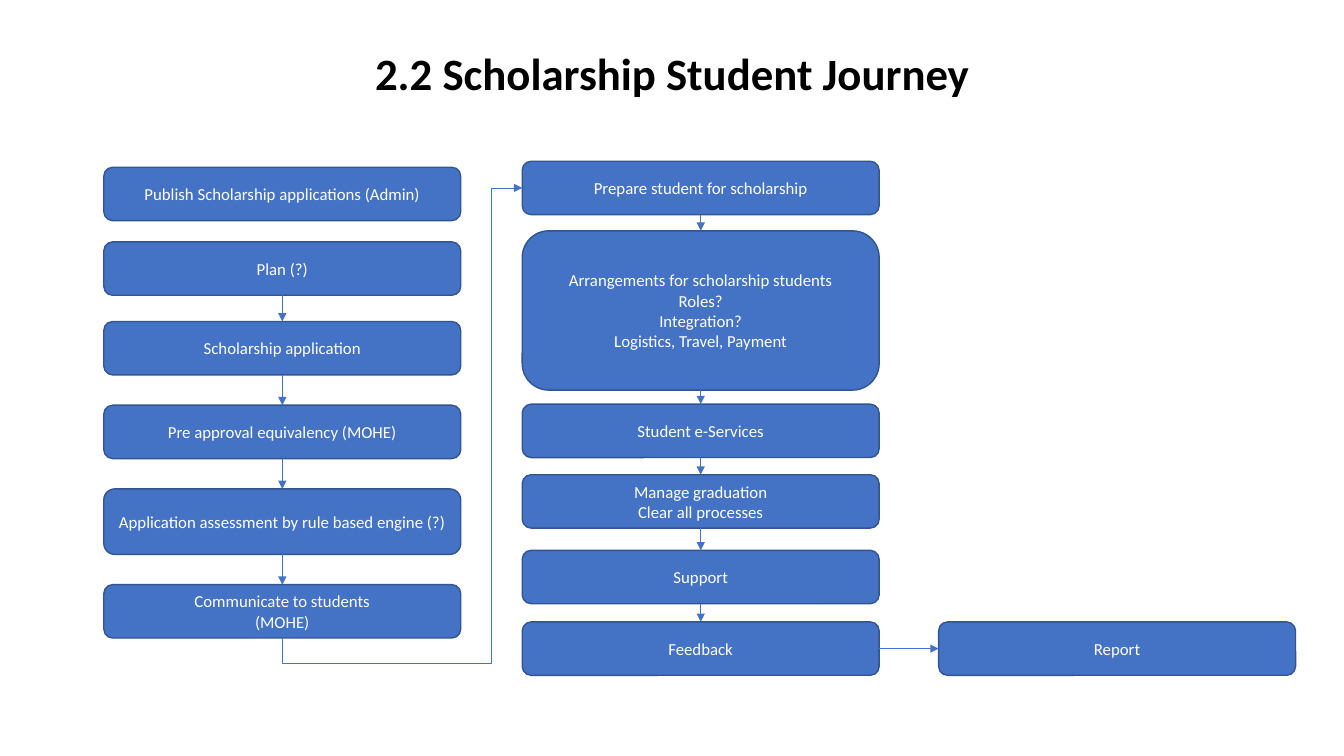
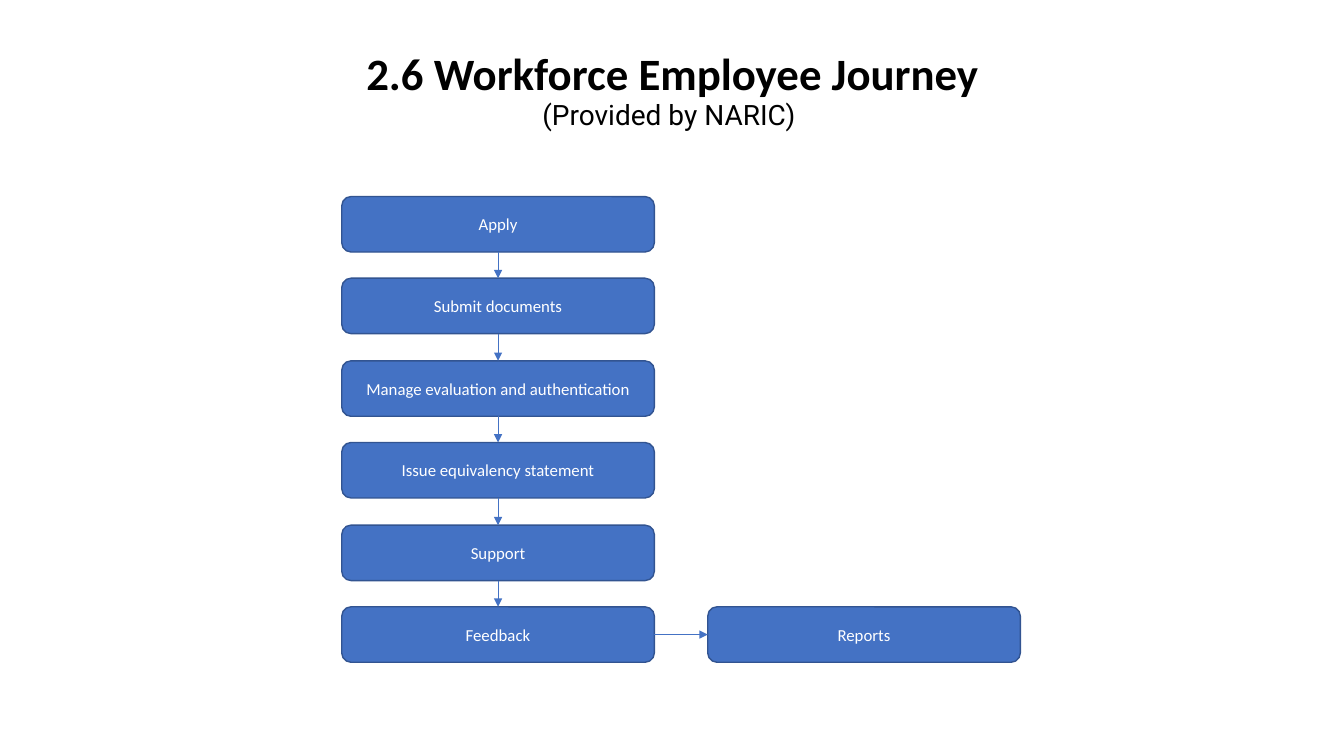
from itertools import pairwise
from lxml.etree import SubElement
from pptx import Presentation
from pptx.dml.color import RGBColor
from pptx.enum.shapes import MSO_CONNECTOR, MSO_SHAPE
from pptx.enum.text import MSO_ANCHOR, MSO_AUTO_SIZE, PP_ALIGN
from pptx.oxml.ns import qn
from pptx.util import Pt

PX = 9144  # 100 px to the inch
HEX = {"box": "4472C4", "edge": "325491", "line": "4472C4",
       "light": "FFFFFF", "dark": "000000"}
TOP, LEFT, FOOT, RIGHT = range(4)  # connection sites of a box


def emu(*nums):
    return [round(n) * PX for n in nums]


def color(name):
    return RGBColor.from_string(HEX[name])


def write(frame, text, size=12, font="Calibri", ink="light", bold=False,
          align=PP_ALIGN.CENTER, anchor=MSO_ANCHOR.MIDDLE, wrap=True,
          lead=None):
    frame.word_wrap = wrap
    frame.vertical_anchor = anchor
    frame.text = text
    for para in frame.paragraphs:
        para.alignment = align
        para.line_spacing = lead
        for run in para.runs:
            run.font.name = font
            run.font.size = Pt(size)
            run.font.bold = bold
            run.font.color.rgb = color(ink)


def start(deck, title):
    """Add a slide with the shared title style."""
    slide = deck.slides.add_slide(deck.slide_layouts[5])
    head = slide.shapes.title
    head.left, head.top, head.width, head.height = emu(92, 0, 1150, 104)
    head.text_frame.auto_size = MSO_AUTO_SIZE.NONE
    write(head.text_frame, title, size=32, ink="dark", bold=True,
          anchor=MSO_ANCHOR.BOTTOM, lead=0.9)
    return slide


def step(slide, text, x, y, w, h):
    box = slide.shapes.add_shape(MSO_SHAPE.ROUNDED_RECTANGLE,
                                 *emu(x, y, w, h))
    box.shadow.inherit = False
    box.fill.solid()
    box.fill.fore_color.rgb = color("box")
    box.line.color.rgb = color("edge")
    box.line.width = Pt(1)
    write(box.text_frame, text)
    return box


def link(slide, a, b, out=FOOT, into=TOP, kind=MSO_CONNECTOR.STRAIGHT):
    """Draw an arrow from site out of box a to site into of box b."""
    line = slide.shapes.add_connector(kind, 0, 0, 0, 0)
    line.begin_connect(a, out)
    line.end_connect(b, into)
    line.line.color.rgb = color("line")
    line.line.width = Pt(0.5)
    SubElement(line.line._get_or_add_ln(), qn("a:tailEnd"), type="triangle")
    SubElement(line._element.spPr, qn("a:effectLst"))
    return line


def wrap_link(slide, a, b, drop, back):
    """Lead an arrow below box a, then up and into the left of box b."""
    line = link(slide, a, b, FOOT, LEFT, MSO_CONNECTOR.ELBOW)
    wide, high = line.width, line.height
    # The frame lies on its side, turned about its own centre.
    line.left += (wide - high) // 2
    line.top += (high - wide) // 2
    line.width, line.height = high, wide
    props = line._element.spPr
    frame = props.find(qn("a:xfrm"))
    for key, val in (("rot", "5400000"), ("flipH", "1"), ("flipV", "1")):
        frame.set(key, val)
    geom = props.find(qn("a:prstGeom"))
    geom.set("prst", "bentConnector4")
    guides = geom.find(qn("a:avLst"))
    parts = (-drop * PX / high, 1 - back * PX / wide)
    for num, part in enumerate(parts, 1):
        SubElement(guides, qn("a:gd"), name=f"adj{num}",
                   fmla=f"val {round(part * 100000)}")


def chain(slide, rows, x, w):
    """Stack boxes from (text, top, height) rows and join them by arrows."""
    boxes = [step(slide, text, x, y, w, h) for text, y, h in rows]
    for a, b in pairwise(boxes):
        link(slide, a, b)
    return boxes


def branch(slide, box, text, gap):
    """Add a box of the same size to the right, with an arrow to it."""
    x = (box.left + box.width) / PX + gap
    side = step(slide, text, x, box.top / PX, box.width / PX, box.height / PX)
    link(slide, box, side, RIGHT, LEFT)


def scholar(deck):
    slide = start(deck, "2.2 Scholarship Student Journey")
    w, h = 354, 53
    step(slide, "Publish Scholarship applications (Admin)", 103, 166, w, h)
    first = chain(slide, [
        ("Plan (?)", 240, h),
        ("Scholarship application", 319, h),
        ("Pre approval equivalency (MOHE)", 402, h),
        ("Application assessment by rule based engine (?)", 485, 65),
        ("Communicate to students\n(MOHE)", 580, h),
    ], 103, w)
    then = chain(slide, [
        ("Prepare student for scholarship", 160, h),
        ("Arrangements for scholarship students\nRoles?\nIntegration?\n"
         "Logistics, Travel, Payment", 229, 158),
        ("Student e-Services", 401, h),
        ("Manage graduation\nClear all processes", 471, h),
        ("Support", 546, h),
        ("Feedback", 617, h),
    ], 518, w)
    wrap_link(slide, first[-1], then[0], 25, 31)
    branch(slide, then[-1], "Report", 59)


def worker(deck):
    slide = start(deck, "2.6 Workforce Employee Journey")
    note = slide.shapes.add_textbox(*emu(528, 92, 278, 44)).text_frame
    write(note, "(Provided by NARIC)", size=20, font="Roboto", ink="dark",
          align=PP_ALIGN.LEFT, anchor=MSO_ANCHOR.TOP, wrap=False)
    note.auto_size = MSO_AUTO_SIZE.SHAPE_TO_FIT_TEXT
    names = ["Apply", "Submit documents",
             "Manage evaluation and authentication",
             "Issue equivalency statement", "Support", "Feedback"]
    rows = [(name, 195 + 81.4 * i, 55) for i, name in enumerate(names)]
    boxes = chain(slide, rows, 339, 310)
    branch(slide, boxes[-1], "Reports", 53)


def main():
    deck = Presentation()
    deck.slide_width, deck.slide_height = emu(1333, 750)
    scholar(deck)
    worker(deck)
    deck.save("out.pptx")


if __name__ == "__main__":
    main()
